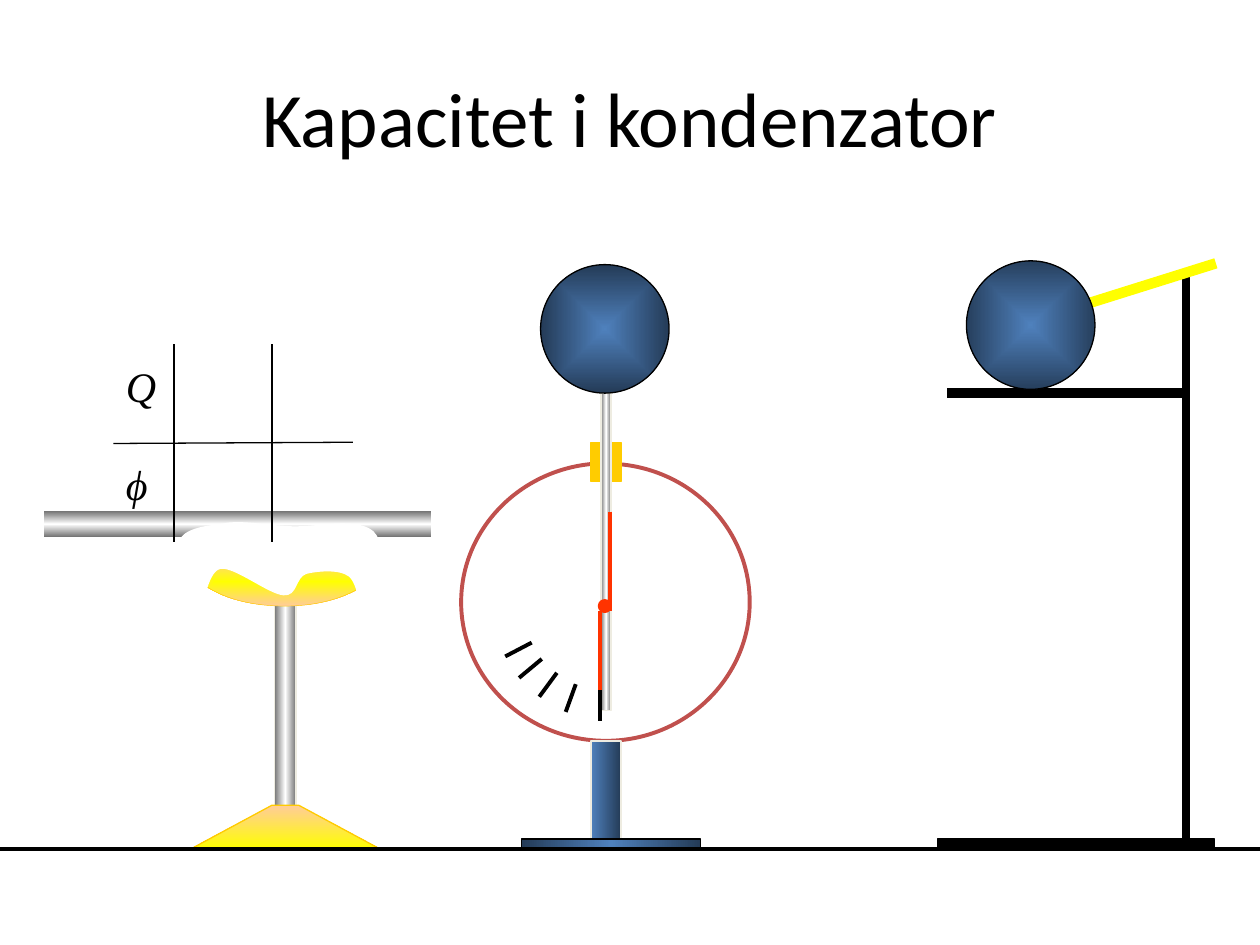
from lxml import etree
from pptx import Presentation
from pptx.dml.color import RGBColor
from pptx.enum.shapes import MSO_CONNECTOR, MSO_SHAPE
from pptx.enum.text import MSO_ANCHOR, PP_ALIGN
from pptx.oxml import parse_xml
from pptx.oxml.ns import nsdecls, qn
from pptx.util import Pt

EMU_PER_PX = 9144  # 100 px to the inch

RECT, OVAL = MSO_SHAPE.RECTANGLE, MSO_SHAPE.OVAL
STRAIGHT = MSO_CONNECTOR.STRAIGHT
LEFT, CENTER = PP_ALIGN.LEFT, PP_ALIGN.CENTER
TOP, MIDDLE = MSO_ANCHOR.TOP, MSO_ANCHOR.MIDDLE

BLACK = RGBColor(0x00, 0x00, 0x00)
WHITE = RGBColor(0xFF, 0xFF, 0xFF)
CREAM = RGBColor(0xEE, 0xEC, 0xE1)
STEEL = RGBColor(0x76, 0x76, 0x76)
BLUE = RGBColor(0x4F, 0x81, 0xBD)
NAVY = RGBColor(0x24, 0x3B, 0x57)
BRICK = RGBColor(0xC0, 0x50, 0x4D)
RED = RGBColor(0xFF, 0x33, 0x00)
GOLD = RGBColor(0xFF, 0xCC, 0x00)
YELLOW = RGBColor(0xFF, 0xFF, 0x00)
PEACH = RGBColor(0xFF, 0xCC, 0x99)

ACROSS = '<a:lin ang="0" scaled="0"/>'
DOWN = '<a:lin ang="5400000" scaled="0"/>'
FROM_CENTER = ('<a:path path="shape"><a:fillToRect l="50000" t="50000" '
               'r="50000" b="50000"/></a:path>')


def px(length):
    return round(length * EMU_PER_PX)


class Drawing:
    """Holds the style and the current slide."""

    font = "Calibri"
    symbol_font = "Times New Roman"

    def __init__(self, slide):
        self.shapes = slide.shapes

    def paint(self, shape, fill, line, weight):
        """Fill is None, a colour, or a (colours, direction) gradient."""
        shape.shadow.inherit = False
        if fill is None:
            shape.fill.background()
        elif isinstance(fill, RGBColor):
            shape.fill.solid()
            shape.fill.fore_color.rgb = fill
        else:
            self.paint_gradient(shape, *fill)
        if line is None:
            shape.line.fill.background()
        else:
            shape.line.color.rgb = line
            shape.line.width = Pt(weight)

    def paint_gradient(self, shape, colors, direction):
        shape.fill.gradient()
        gradient = shape._element.spPr.find(qn("a:gradFill"))
        last = len(colors) - 1
        stops = "".join(
            f'<a:gs pos="{100000 * i // last}"><a:srgbClr val="{color}"/></a:gs>'
            for i, color in enumerate(colors))
        gradient.getparent().replace(gradient, parse_xml(
            f'<a:gradFill {nsdecls("a")} rotWithShape="1">'
            f'<a:gsLst>{stops}</a:gsLst>{direction}</a:gradFill>'))

    def shape(self, kind, box, fill, line=None, weight=0.75, rotation=0):
        shape = self.shapes.add_shape(kind, *map(px, box))
        self.paint(shape, fill, line, weight)
        shape.rotation = rotation

    def outline(self, start, segments, fill, line, weight=0.75, close=True):
        """Each segment is (end,) for a line or (control, control, end) for a curve."""
        builder = self.shapes.build_freeform(*map(px, start), scale=1.0)
        builder.add_line_segments(
            [tuple(map(px, segment[-1])) for segment in segments], close=close)
        shape = builder.convert_to_shape()
        sides = list(shape._element.iter(qn("a:lnTo")))
        for side, segment in zip(sides, segments):
            if len(segment) == 3:
                self.bend(side, segment, shape.left, shape.top)
        self.paint(shape, fill, line, weight)

    def bend(self, side, segment, left, top):
        """Turn a straight side of an outline into a cubic curve."""
        curve = etree.Element(qn("a:cubicBezTo"))
        for x, y in segment:
            etree.SubElement(curve, qn("a:pt"),
                             x=str(px(x) - left), y=str(px(y) - top))
        side.getparent().replace(side, curve)

    def line(self, x1, y1, x2, y2, color=BLACK, weight=2.25):
        line = self.shapes.add_connector(STRAIGHT, *map(px, (x1, y1, x2, y2)))
        line.line.color.rgb = color
        line.line.width = Pt(weight)
        line._element.spPr.append(parse_xml(f'<a:effectLst {nsdecls("a")}/>'))

    def text(self, text, box, size, font=None, italic=False, align=LEFT, anchor=TOP):
        frame = self.shapes.add_textbox(*map(px, box)).text_frame
        frame.word_wrap = True
        frame.vertical_anchor = anchor
        paragraph = frame.paragraphs[0]
        paragraph.alignment = align
        run = paragraph.add_run()
        run.text = text
        run.font.name = font or self.font
        run.font.size = Pt(size)
        run.font.italic = italic
        run.font.color.rgb = BLACK


TUBE = (STEEL, WHITE, STEEL)
SPHERE = ((BLUE, NAVY), FROM_CENTER)


def draw_electroscope(d):
    ring = [((544, 368), (595, 417), (595, 478)),
            ((595, 538), (544, 588), (481, 588)),
            ((417, 588), (366, 538), (366, 478)),
            ((366, 420), (413, 372), (473, 368))]
    d.outline((481, 368), ring, None, BRICK, 2.25, close=False)
    d.shape(RECT, (469, 588, 24, 79), ((BLUE, NAVY), ACROSS), CREAM)
    d.shape(RECT, (414, 666, 142, 8), ((NAVY, BLUE, NAVY), ACROSS), BLACK)
    d.shape(RECT, (469, 351, 24, 31), GOLD, GOLD)
    d.shape(RECT, (477, 312, 8, 252), (TUBE, ACROSS), CREAM)
    d.line(484, 406, 484, 485, RED)
    d.line(476, 485, 476, 564, RED)
    d.shape(OVAL, (476, 477, 8, 8), RED, RED, 2.25)
    for tick in [(457, 543, 449, 565), (442, 534, 428, 553), (430, 523, 412, 538),
                 (476, 548, 476, 572), (422, 510, 401, 521)]:
        d.line(*tick)
    d.shape(OVAL, (429, 210, 102, 102), SPHERE, BLACK)


def draw_sphere_stand(d):
    d.shape(RECT, (744, 666, 220, 8), BLACK, BLACK)
    d.line(941, 666, 941, 218, weight=4.5)
    d.line(752, 312, 941, 312, weight=6)
    d.line(863, 241, 965, 209, YELLOW, 6)
    d.shape(OVAL, (767, 207, 102, 102), SPHERE, BLACK, rotation=3.9)


def draw_burner(d):
    d.shape(RECT, (35, 406, 307, 20), (TUBE, DOWN))
    d.shape(RECT, (218, 478, 17, 178), (TUBE, ACROSS), CREAM)
    bowl = [((159, 469), (190, 481), (226, 481)),
            ((265, 481), (298, 466), (302, 446)),
            ((226, 442),)]
    d.outline((151, 451), bowl, ((YELLOW, PEACH), FROM_CENTER), GOLD, 0.25)
    foot = [((151, 674),), ((302, 674),), ((237, 639),)]
    d.outline((216, 639), foot, ((PEACH, YELLOW), DOWN), GOLD)
    flame = [((150, 483), (138, 443), (142, 431)),
             ((145, 420), (162, 418), (177, 416)),
             ((191, 413), (208, 417), (228, 418)),
             ((248, 420), (282, 410), (296, 422)),
             ((309, 435), (309, 483), (309, 495)),
             ((308, 506), (297, 500), (292, 494)),
             ((286, 487), (285, 463), (277, 457)),
             ((269, 451), (251, 453), (243, 455)),
             ((234, 458), (236, 473), (225, 472)),
             ((213, 471), (186, 449), (175, 451)),
             ((163, 453), (161, 489), (156, 486))]
    d.outline((156, 486), flame, WHITE, WHITE)


def draw_value_table(d):
    for symbol, top in (("Q", 281), ("ϕ", 359)):
        d.text(symbol, (90, top, 47, 50), 24, font=d.symbol_font, italic=True)
    d.line(90, 352, 280, 351, weight=0.75)
    for x in (138, 216):
        d.line(x, 430, x, 273, weight=0.75)


def main():
    presentation = Presentation()
    presentation.slide_width, presentation.slide_height = px(1000), px(750)
    d = Drawing(presentation.slides.add_slide(presentation.slide_layouts[6]))
    d.text("Kapacitet i kondenzator", (50, 30, 900, 125), 44,
           align=CENTER, anchor=MIDDLE)
    draw_electroscope(d)
    draw_sphere_stand(d)
    draw_burner(d)
    d.line(0, 674, 1000, 674)
    draw_value_table(d)
    presentation.save("out.pptx")


if __name__ == "__main__":
    main()
